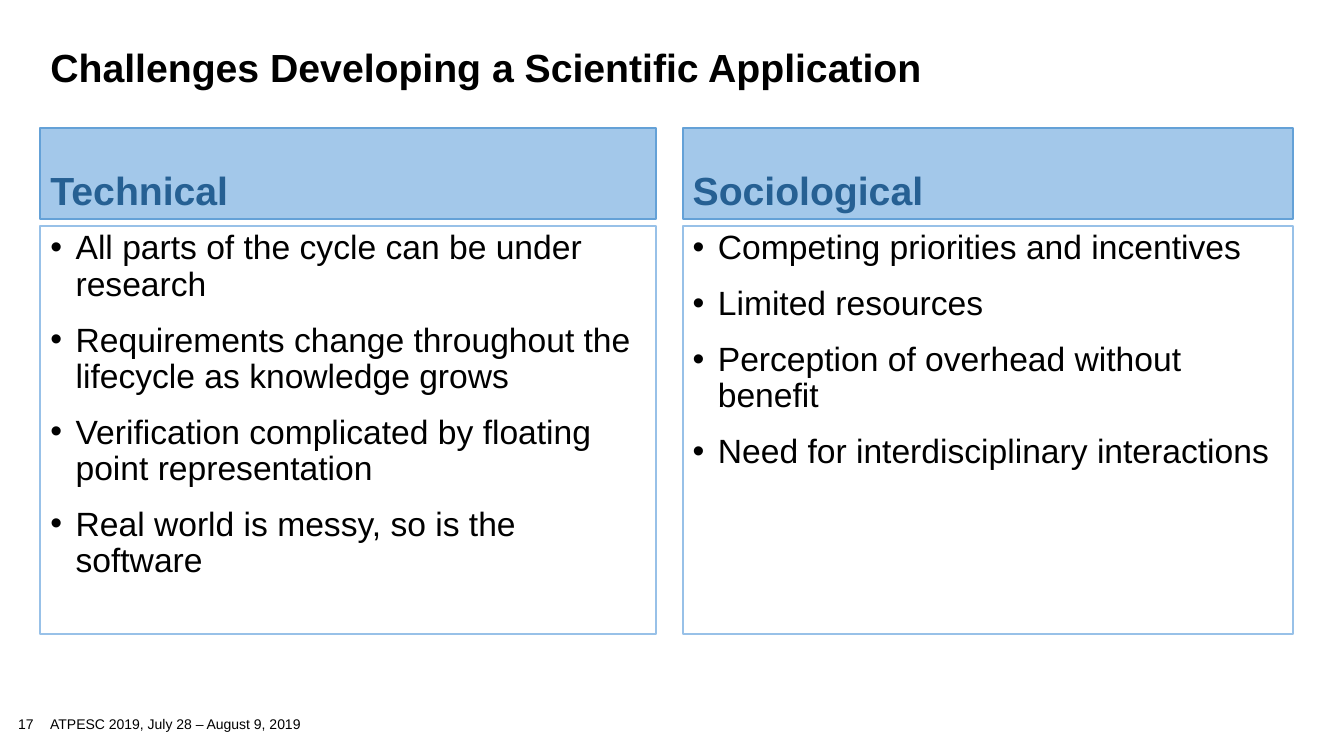
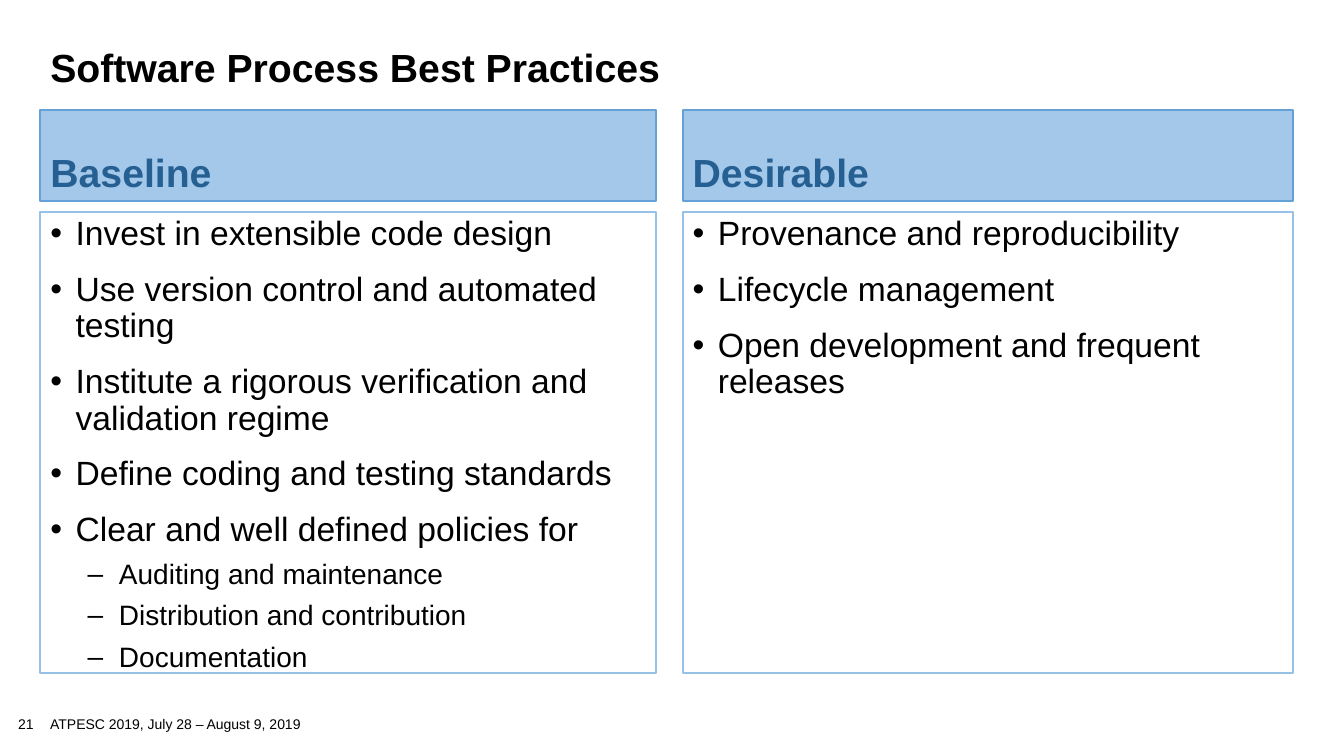
from lxml.etree import SubElement
from pptx import Presentation
from pptx.dml.color import RGBColor
from pptx.enum.text import MSO_ANCHOR, MSO_AUTO_SIZE, PP_ALIGN
from pptx.oxml.ns import qn
from pptx.util import Inches, Pt

BLACK = RGBColor(0x00, 0x00, 0x00)
HEADING_TEXT = RGBColor(0x26, 0x60, 0x93)
HEADING_FILL = RGBColor(0xA3, 0xC8, 0xEA)
HEADING_LINE = RGBColor(0x64, 0xA1, 0xD7)
LIST_LINE = RGBColor(0x98, 0xC1, 0xE8)

FOOTER = "ATPESC 2019, July 28 – August 9, 2019"
COMPARISON_LAYOUT = 4
HEADING_HEIGHT = 0.9
COLUMNS = [(0.4, 6.11), (6.77, 6.05)]  # left, width

# Per list level: bullet, left margin, hanging indent, space before, text size
LEVELS = [("•", 0.25, 0.25, 14, 24), ("–", 0.68, 0.31, 8, 20)]

SLIDES = [
    {
        "number": "17",
        "title": "Challenges Developing a Scientific Application",
        "heading_top": 1.27,
        "list_top": 2.24,
        "list_height": 4.05,
        "columns": [
            ("Technical", [
                (0, "All parts of the cycle can be under research"),
                (0, "Requirements change throughout the lifecycle as knowledge grows"),
                (0, "Verification complicated by floating point representation"),
                (0, "Real world is messy, so is the software"),
            ]),
            ("Sociological", [
                (0, "Competing priorities and incentives"),
                (0, "Limited resources"),
                (0, "Perception of overhead without benefit"),
                (0, "Need for interdisciplinary interactions"),
            ]),
        ],
    },
    {
        "number": "21",
        "title": "Software Process Best Practices",
        "heading_top": 1.09,
        "list_top": 2.1,
        "list_height": 4.58,
        "columns": [
            ("Baseline", [
                (0, "Invest in extensible code design"),
                (0, "Use version control and automated testing"),
                (0, "Institute a rigorous verification and validation regime"),
                (0, "Define coding and testing standards"),
                (0, "Clear and well defined policies for"),
                (1, "Auditing and maintenance"),
                (1, "Distribution and contribution"),
                (1, "Documentation"),
            ]),
            ("Desirable", [
                (0, "Provenance and reproducibility"),
                (0, "Lifecycle management"),
                (0, "Open development and frequent releases"),
            ]),
        ],
    },
]


def place(shape, left, top, width, height, anchor=MSO_ANCHOR.TOP):
    """Position a text shape and return its text frame, wrapped and unscaled."""
    shape.left, shape.top = Inches(left), Inches(top)
    shape.width, shape.height = Inches(width), Inches(height)
    frame = shape.text_frame
    frame.word_wrap = True
    frame.auto_size = MSO_AUTO_SIZE.NONE
    frame.vertical_anchor = anchor
    return frame


def write(paragraph, text, size, color=BLACK, bold=False, line_spacing=0.9, space_before=0):
    paragraph.alignment = PP_ALIGN.LEFT
    paragraph.line_spacing = line_spacing
    paragraph.space_before = Pt(space_before)
    run = paragraph.add_run()
    run.text = text
    run.font.name = "Arial"
    run.font.size = Pt(size)
    run.font.bold = bold
    run.font.color.rgb = color


presentation = Presentation()
presentation.slide_width = Inches(13.33)
presentation.slide_height = Inches(7.5)

for content in SLIDES:
    slide = presentation.slides.add_slide(presentation.slide_layouts[COMPARISON_LAYOUT])

    title_frame = place(slide.shapes.title, 0.4, 0.45, 12.44, 0.56)
    write(title_frame.paragraphs[0], content["title"], 28, bold=True, line_spacing=0.85)

    for index, (heading, items) in enumerate(content["columns"]):
        left, width = COLUMNS[index]

        heading_box = slide.placeholders[1 + 2 * index]
        heading_box.fill.solid()
        heading_box.fill.fore_color.rgb = HEADING_FILL
        heading_box.line.color.rgb = HEADING_LINE
        heading_box.line.width = Pt(1.5)
        heading_frame = place(heading_box, left, content["heading_top"], width,
                              HEADING_HEIGHT, MSO_ANCHOR.BOTTOM)
        write(heading_frame.paragraphs[0], heading, 28, HEADING_TEXT, bold=True)

        list_box = slide.placeholders[2 + 2 * index]
        list_box.line.color.rgb = LIST_LINE
        list_box.line.width = Pt(1.5)
        list_frame = place(list_box, left, content["list_top"], width, content["list_height"])
        for position, (level, text) in enumerate(items):
            bullet, margin, hanging, space_before, size = LEVELS[level]
            paragraph = list_frame.add_paragraph() if position else list_frame.paragraphs[0]
            paragraph.level = level
            properties = paragraph._p.get_or_add_pPr()
            properties.set("marL", str(Inches(margin)))
            properties.set("indent", str(-Inches(hanging)))
            bullet_color = SubElement(properties, qn("a:buClr"))
            SubElement(bullet_color, qn("a:srgbClr"), val=str(BLACK))
            SubElement(properties, qn("a:buFont"), typeface="Arial")
            SubElement(properties, qn("a:buChar"), char=bullet)
            write(paragraph, text, size, space_before=space_before if position else 0)

    number_area = [0.18, 7.12, 0.56, 0.16]
    number_box = slide.shapes.add_textbox(*map(Inches, number_area))
    number_frame = place(number_box, *number_area)
    number_frame.margin_left = number_frame.margin_right = 0
    number_frame.margin_top = number_frame.margin_bottom = 0
    write(number_frame.paragraphs[0], content["number"], 10)

    footer_area = [0.4, 7.08, 3.63, 0.2]
    footer_box = slide.shapes.add_textbox(*map(Inches, footer_area))
    footer_frame = place(footer_box, *footer_area, MSO_ANCHOR.MIDDLE)
    write(footer_frame.paragraphs[0], FOOTER, 10, line_spacing=1.0)

presentation.save("out.pptx")
